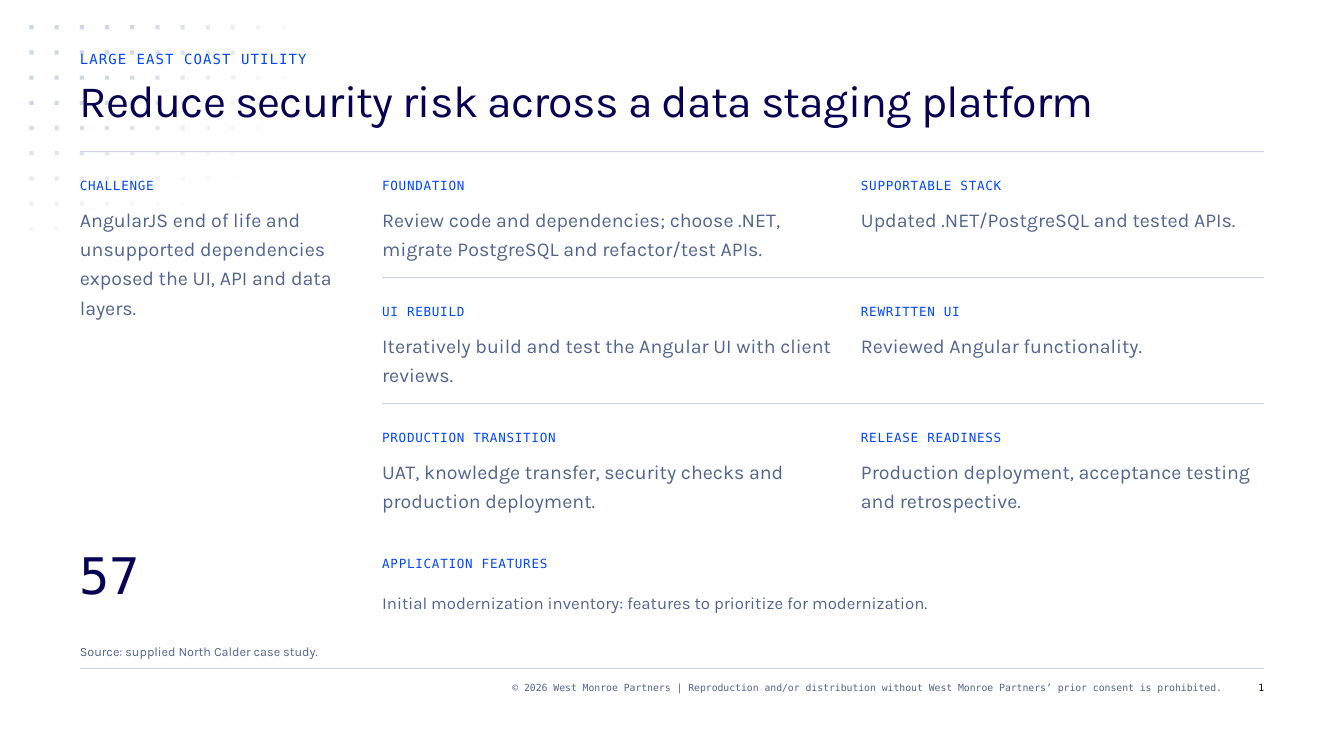
from dataclasses import dataclass
from math import hypot

from lxml.etree import SubElement
from pptx import Presentation
from pptx.dml.color import RGBColor
from pptx.enum.shapes import MSO_SHAPE
from pptx.enum.text import MSO_ANCHOR, MSO_AUTO_SIZE, PP_ALIGN
from pptx.oxml.ns import qn
from pptx.shapes.autoshape import Shape
from pptx.shapes.shapetree import GroupShapes, SlideShapes
from pptx.util import Emu, Pt

PX = 9525
NAVY = RGBColor(0x07, 0x01, 0x54)
BLUE = RGBColor(0x00, 0x47, 0xFF)
SLATE = RGBColor(0x50, 0x65, 0x8E)
MIST = RGBColor(0xCE, 0xD7, 0xE6)
MONO, SANS = "DejaVu Sans Mono", "Karla"

LEFT, MIDDLE, RIGHT, EDGE = 76, 364, 820, 1204
TOP, ROW_PITCH, GRID = 168, 120, 24


@dataclass(frozen=True)
class Panel:
    label: str
    body: str
    x: int
    w: int
    row: int = 0
    lines: int = 2


PANELS = [
    Panel("CHALLENGE", "AngularJS end of life and unsupported dependencies exposed "
          "the UI, API and data layers.", LEFT, 264, lines=4),
    Panel("FOUNDATION", "Review code and dependencies; choose .NET, migrate PostgreSQL "
          "and refactor/test APIs.", MIDDLE, 432),
    Panel("SUPPORTABLE STACK", "Updated .NET/PostgreSQL and tested APIs.", RIGHT, 384, lines=1),
    Panel("UI REBUILD", "Iteratively build and test the Angular UI with client reviews.",
          MIDDLE, 432, row=1),
    Panel("REWRITTEN UI", "Reviewed Angular functionality.", RIGHT, 384, row=1, lines=1),
    Panel("PRODUCTION TRANSITION", "UAT, knowledge transfer, security checks and production "
          "deployment.", MIDDLE, 432, row=2),
    Panel("RELEASE READINESS", "Production deployment, acceptance testing and retrospective.",
          RIGHT, 384, row=2),
]


def px(n: int) -> Emu:
    return Emu(n * PX)


def set_text(sp: Shape, text: str, *, size: int, leading: int, color: RGBColor,
             font: str = SANS, spacing: float = 0, align: PP_ALIGN = PP_ALIGN.LEFT) -> None:
    """Fill a shape with one paragraph; leading and spacing are in points."""
    tf = sp.text_frame
    tf.word_wrap = True
    tf.auto_size = MSO_AUTO_SIZE.NONE
    tf.vertical_anchor = MSO_ANCHOR.TOP
    tf.margin_left = tf.margin_right = tf.margin_top = tf.margin_bottom = 0
    p = tf.paragraphs[0]
    p.alignment = align
    p.line_spacing = Pt(leading)
    r = p.add_run()
    r.text = text
    r.font.name = font
    r.font.size = Pt(size)
    r.font.color.rgb = color
    if spacing:
        r._r.get_or_add_rPr().set("spc", str(round(spacing * 100)))


def add_text(shapes: SlideShapes | GroupShapes, text: str, x: int, y: int, w: int, h: int,
             **fmt) -> None:
    set_text(shapes.add_textbox(px(x), px(y), px(w), px(h)), text, **fmt)


def add_label(shapes: SlideShapes | GroupShapes, text: str, x: int, y: int, w: int,
              h: int = 16) -> None:
    add_text(shapes, text, x, y, w, h, size=9, leading=12, color=BLUE, font=MONO, spacing=0.5)


def add_block(shapes: SlideShapes, x: int, y: int, w: int, h: int, opacity: int = 100) -> None:
    sp = shapes.add_shape(MSO_SHAPE.RECTANGLE, px(x), px(y), px(w), px(h))
    sp.shadow.inherit = False
    sp.fill.solid()
    sp.fill.fore_color.rgb = MIST
    sp.line.fill.background()
    if opacity < 100:
        clr = sp.element.spPr.find(qn("a:solidFill")).find(qn("a:srgbClr"))
        SubElement(clr, qn("a:alpha")).set("val", str(opacity * 1000))


def add_rule(shapes: SlideShapes, x: int, y: int) -> None:
    add_block(shapes, x, y, EDGE - x, 1)


def add_dots(shapes: SlideShapes) -> None:
    """Draw the corner dot grid, fading out along an ellipse."""
    for col in range(11):
        for row in range(9):
            opacity = min(100, round(153 * (1 - hypot(col / 11.05, row / 9.05))))
            if opacity >= 2:
                add_block(shapes, 28 + col * GRID, 24 + row * GRID, 4, 4, opacity)


def add_panel(shapes: SlideShapes, panel: Panel) -> None:
    group = shapes.add_group_shape().shapes
    y = TOP + panel.row * ROW_PITCH
    add_label(group, panel.label, panel.x, y, panel.w)
    add_text(group, panel.body, panel.x, y + GRID, panel.w, 28 * panel.lines,
             size=14, leading=21, color=SLATE)


def main() -> None:
    prs = Presentation()
    prs.slide_width, prs.slide_height = px(1280), px(720)
    s = prs.slides.add_slide(prs.slide_layouts[5])
    shapes = s.shapes
    width = EDGE - LEFT

    add_dots(shapes)
    for y in (144, 636):
        add_rule(shapes, LEFT, y)
    for row in (1, 2):
        add_rule(shapes, MIDDLE, TOP + row * ROW_PITCH - GRID)

    add_text(shapes, "LARGE EAST COAST UTILITY", LEFT, 48, width, 16,
             size=10, leading=12, color=BLUE, font=MONO, spacing=0.8)
    title = shapes.title
    title.left, title.top, title.width, title.height = px(LEFT), px(72), px(width), px(72)
    set_text(title, "Reduce security risk across a data staging platform",
             size=32, leading=36, color=NAVY, spacing=-0.6)
    shapes.element.append(title.element)  # bring the title in front of the dots

    for panel in PANELS:
        add_panel(shapes, panel)

    add_text(shapes, "57", LEFT, 528, 264, 72,
             size=36, leading=36, color=NAVY, font=MONO, spacing=-0.7)
    add_label(shapes, "APPLICATION FEATURES", MIDDLE, 528, EDGE - MIDDLE, 24)
    add_text(shapes, "Initial modernization inventory: features to prioritize for modernization.",
             MIDDLE, 560, EDGE - MIDDLE, 40, size=12, leading=18, color=SLATE)

    add_text(shapes, "Source: supplied North Calder case study.", LEFT, 612, width, 16,
             size=9, leading=12, color=SLATE)
    add_text(shapes, "© 2026 West Monroe Partners | Reproduction and/or distribution without "
             "West Monroe Partners’ prior consent is prohibited.", 228, 648, 936, 24,
             size=7, leading=9, color=SLATE, font=MONO, align=PP_ALIGN.RIGHT)
    add_text(shapes, "1", 1172, 648, 32, 24,
             size=7, leading=9, color=NAVY, font=MONO, align=PP_ALIGN.RIGHT)

    prs.save("out.pptx")


if __name__ == "__main__":
    main()
